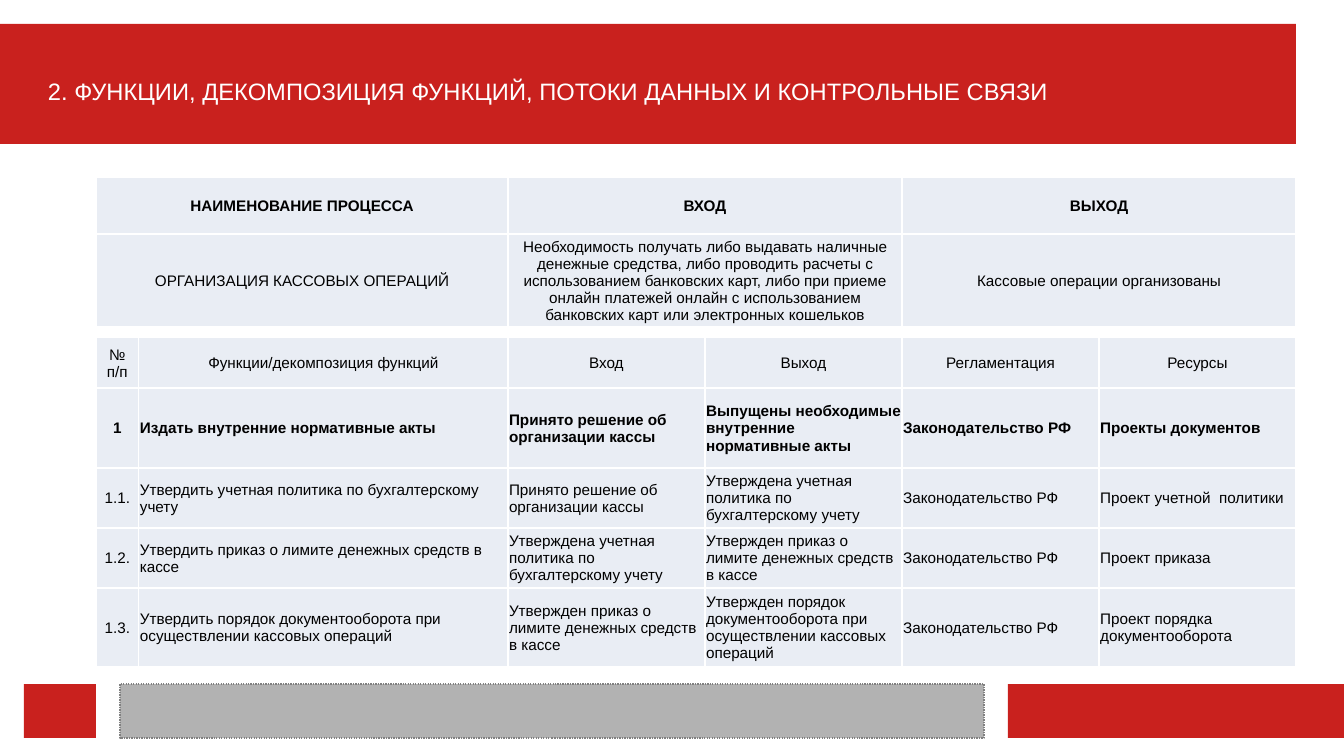
"""Build the slide on cash process functions, data flows and control links."""
from dataclasses import dataclass

from lxml.etree import SubElement
from pptx import Presentation
from pptx.dml.color import RGBColor as Rgb
from pptx.enum.dml import MSO_LINE as Dash
from pptx.enum.shapes import MSO_SHAPE as Kind
from pptx.enum.text import MSO_ANCHOR as Anchor, PP_ALIGN as Align
from pptx.oxml.ns import qn
from pptx.slide import Slide
from pptx.table import _Cell as Cell
from pptx.text.text import TextFrame as Frame
from pptx.util import Cm, Inches, Length, Pt

STEP = 0.5
COLS, ROWS = 56, 31.5
RED, GRAY, EDGE = "C9211E", "B2B2B2", "808080"
PALE, WHITE, BLACK = "E9EDF4", "FFFFFF", "000000"
LAW = "Законодательство РФ"
START = "Принято решение об организации кассы"
POLICY = "Утверждена учетная политика по бухгалтерскому учету"
LIMIT = "Утвержден приказ о лимите денежных средств в кассе"


@dataclass(frozen=True)
class Box:
    """A place on the grid, in columns and rows."""
    col: float
    row: float
    wide: float
    high: float

    def place(self) -> tuple[Length, ...]:
        """Give left, top, width and height as lengths."""
        return tuple(map(unit, (self.col, self.row, self.wide, self.high)))


@dataclass(frozen=True)
class Bar:
    """A filled block, with a dotted edge if one is named."""
    box: Box
    fill: str
    edge: str = ""


@dataclass(frozen=True)
class Grid:
    """A table with its column widths, row heights and text."""
    top: float
    wide: tuple[float, ...]
    high: tuple[float, ...]
    text: tuple[tuple[str, ...], ...]
    bold: int = -1
    mid: int = 0


BARS = (
    Bar(Box(0, 1, 54, 5), RED),
    Bar(Box(42, 28.5, 14, 2.25), RED),
    Bar(Box(5, 28.5, 36, 2.25), GRAY, EDGE),
    Bar(Box(1, 28.5, 3, 2.25), RED),
)
THIRDS = (17.16, 16.42, 16.42)
GRIDS = (
    Grid(14.07, (1.78, 15.38) + (8.21,) * 4, (2.1, 3.33, 2.5, 2.5, 3.27), (
        ("№ п/п", "Функции/декомпозиция функций", "Вход", "Выход",
         "Регламентация", "Ресурсы"),
        ("1", "Издать внутренние нормативные акты", START,
         "Выпущены необходимые внутренние нормативные акты", LAW,
         "Проекты документов"),
        ("1.1.", "Утвердить учетная политика по бухгалтерскому учету", START,
         POLICY, LAW, "Проект учетной  политики"),
        ("1.2.", "Утвердить приказ о лимите денежных средств в кассе", POLICY,
         LIMIT, LAW, "Проект приказа"),
        ("1.3.", "Утвердить порядок документооборота при осуществлении "
         "кассовых операций", LIMIT,
         "Утвержден порядок документооборота при осуществлении "
         "кассовых операций", LAW, "Проект порядка документооборота"),
    ), bold=1),
    Grid(9.75, THIRDS, (3.35,), ((
        "ОРГАНИЗАЦИЯ КАССОВЫХ ОПЕРАЦИЙ",
        "Необходимость получать либо выдавать наличные денежные средства, "
        "либо проводить расчеты с использованием банковских карт, либо при "
        "приеме онлайн платежей онлайн с использованием банковских карт или "
        "электронных кошельков",
        "Кассовые операции организованы"),)),
    Grid(7.37, THIRDS, (2.38,),
         (("НАИМЕНОВАНИЕ ПРОЦЕССА", "ВХОД", "ВЫХОД"),), bold=0),
)


def unit(count: float) -> Length:
    """Turn a count of grid steps into a length."""
    return Cm(count * STEP)


def color(code: str) -> Rgb:
    """Turn a hex string into a colour."""
    return Rgb.from_string(code)


def write(frame: Frame, text: str, size: float, ink: str,
          bold: bool = False, align: Align = Align.LEFT) -> None:
    """Put one run of text in the first paragraph of a frame."""
    line = frame.paragraphs[0]
    line.alignment = align
    run = line.add_run()
    run.text = text
    font = run.font
    font.name, font.size, font.bold = "Arial", Pt(size), bold
    font.color.rgb = color(ink)


def draw_bar(slide: Slide, bar: Bar) -> None:
    """Draw one block."""
    shape = slide.shapes.add_shape(Kind.RECTANGLE, *bar.box.place())
    shape.shadow.inherit = False
    shape.fill.solid()
    shape.fill.fore_color.rgb = color(bar.fill)
    if bar.edge:
        shape.line.color.rgb = color(bar.edge)
        shape.line.width = Pt(0)
        shape.line.dash_style = Dash.ROUND_DOT
    else:
        shape.line.fill.background()


def draw_title(slide: Slide, text: str) -> None:
    """Write the heading over the top block, one line above its base."""
    frame = slide.shapes.add_textbox(*Box(2, 1.5, 52, 4).place()).text_frame
    frame.word_wrap = True
    frame.vertical_anchor = Anchor.BOTTOM
    frame.margin_left = frame.margin_right = frame.margin_top = 0
    frame.margin_bottom = Inches(0.22)
    write(frame, text, 14, WHITE)


def style(cell: Cell) -> None:
    """Set the margins, borders and fill of a cell."""
    cell.vertical_anchor = Anchor.MIDDLE
    cell.margin_left = cell.margin_right = cell.margin_top = Inches(0.01)
    cell.margin_bottom = 0
    props = cell._tc.get_or_add_tcPr()
    for side in "LRTB":
        edge = SubElement(props, qn(f"a:ln{side}"), w=str(Pt(1)))
        fill = SubElement(edge, qn("a:solidFill"))
        SubElement(fill, qn("a:srgbClr"), val=WHITE)
    cell.fill.solid()
    cell.fill.fore_color.rgb = color(PALE)


def draw_grid(slide: Slide, grid: Grid) -> None:
    """Draw one table, with its first row and first column centred."""
    box = Box(4, grid.top, sum(grid.wide), sum(grid.high))
    table = slide.shapes.add_table(
        len(grid.high), len(grid.wide), *box.place()).table
    table.first_row = table.horz_banding = False
    for col, wide in zip(table.columns, grid.wide):
        col.width = unit(wide)
    for row, high in zip(table.rows, grid.high):
        row.height = unit(high)
    for i, texts in enumerate(grid.text):
        for j, text in enumerate(texts):
            cell = table.cell(i, j)
            style(cell)
            align = Align.CENTER if grid.mid in (i, j) else Align.LEFT
            write(cell.text_frame, text, 9, BLACK, i == grid.bold, align)


def main() -> None:
    """Build and save the slide."""
    deck = Presentation()
    deck.slide_width, deck.slide_height = unit(COLS), unit(ROWS)
    slide = deck.slides.add_slide(deck.slide_layouts[6])
    for bar in BARS:
        draw_bar(slide, bar)
    draw_title(slide, "2. ФУНКЦИИ, ДЕКОМПОЗИЦИЯ ФУНКЦИЙ, ПОТОКИ ДАННЫХ "
                      "И КОНТРОЛЬНЫЕ СВЯЗИ")
    for grid in GRIDS:
        draw_grid(slide, grid)
    deck.save("out.pptx")


if __name__ == "__main__":
    main()
